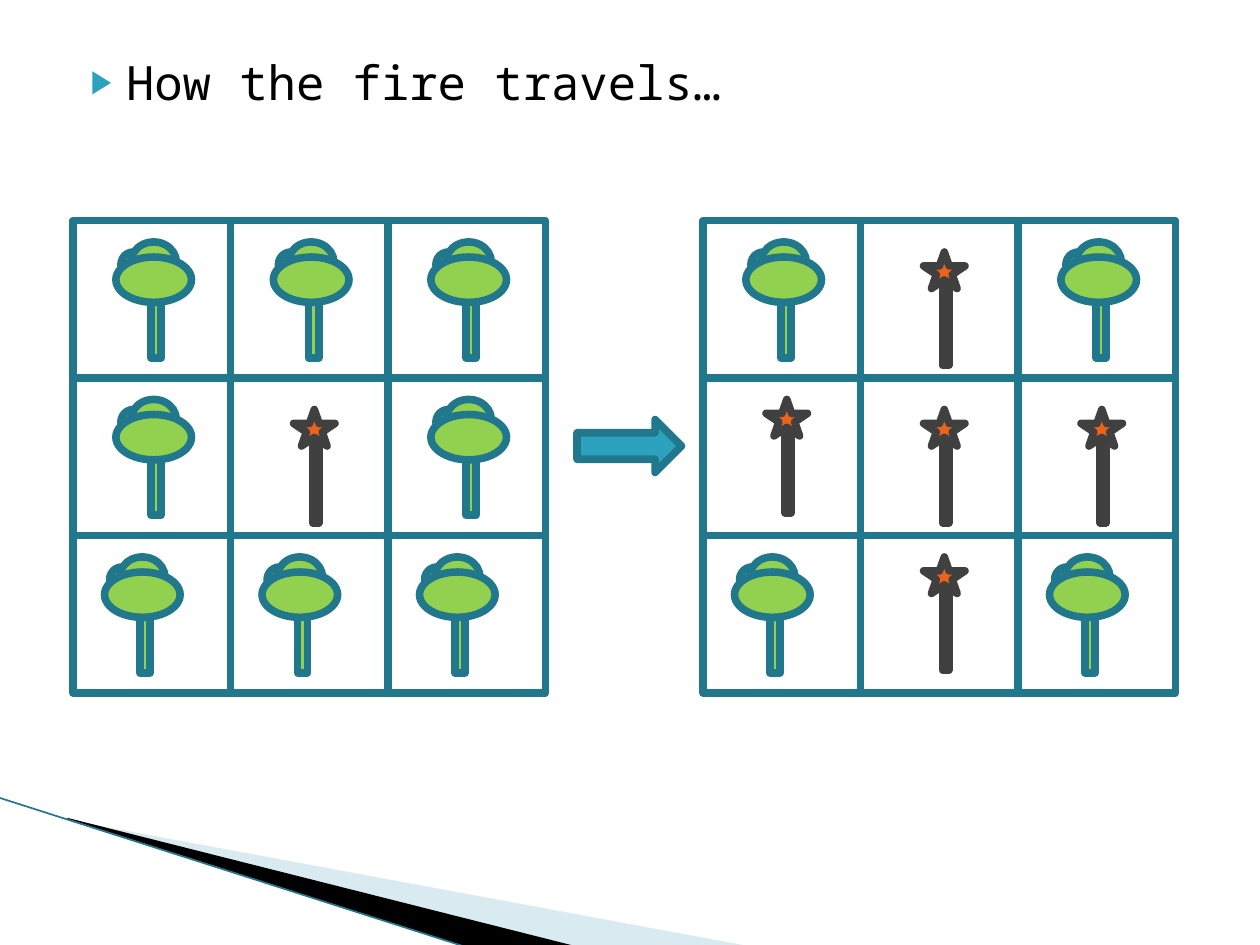
"""Build the slide that shows how a fire travels across a grid of trees."""
from lxml.etree import SubElement
from pptx import Presentation
from pptx.dml.color import RGBColor
from pptx.enum.shapes import MSO_CONNECTOR, MSO_SHAPE
from pptx.enum.text import MSO_ANCHOR, MSO_AUTO_SIZE, PP_ALIGN
from pptx.oxml.ns import qn
from pptx.util import Inches, Pt

TEAL = RGBColor(0x21, 0x78, 0x8D)
BLUE = RGBColor(0x2D, 0xA2, 0xBF)
PALE = RGBColor(0xA0, 0xCB, 0xDC)
GREEN = RGBColor(0x92, 0xD0, 0x50)
ORANGE = RGBColor(0xEB, 0x64, 0x1B)
CHARCOAL = RGBColor(0x40, 0x40, 0x40)
BLACK = RGBColor(0, 0, 0)

CELL = 1.25
GRID_TOP = 1.75
TREE = [
    (MSO_SHAPE.OVAL, 0.04, 0.08, 0.2, 0.2),
    (MSO_SHAPE.OVAL, 0.12, 0, 0.36, 0.32),
    (MSO_SHAPE.RECTANGLE, 0.28, 0.32, 0.08, 0.6),
    (MSO_SHAPE.OVAL, 0, 0.12, 0.6, 0.36),
]
FIRE = [
    (MSO_SHAPE.RECTANGLE, 0.15, 0.19, 0.05, 0.71),
    (MSO_SHAPE.STAR_5_POINT, 0, 0, 0.33, 0.29),
]
PLANTS = {
    "T": (TREE, GREEN, TEAL, 0.34, 0.17),
    "t": (TREE, GREEN, TEAL, 0.25, 0.17),
    "F": (FIRE, ORANGE, CHARCOAL, 0.5, 0.25),
    "f": (FIRE, ORANGE, CHARCOAL, 0.5, 0.17),
}
FORESTS = [(0.58, ["TTT", "TFT", "ttt"]), (5.58, ["TFT", "fFF", "tft"])]


def add_part(shapes, kind, x, y, w, h, fill, line):
    sp = shapes.add_shape(kind, Inches(x), Inches(y), Inches(w), Inches(h))
    sp.shadow.inherit = False
    if fill is None:
        sp.fill.background()
    else:
        sp.fill.solid()
        sp.fill.fore_color.rgb = fill
    sp.line.color.rgb = line
    sp.line.width = Pt(4.33)
    return sp


prs = Presentation()
prs.slide_width, prs.slide_height = Inches(10), Inches(7.5)
s = prs.slides.add_slide(prs.slide_layouts[1])
title, body = s.placeholders
title.element.getparent().remove(title.element)

WEDGES = [
    ([(0.55, 6.51), (5.95, 7.51), (4.56, 7.51), (0.55, 6.5)], PALE, 40),
    ([(0.53, 6.49), (4.57, 7.51), (3.72, 7.52), (0.54, 6.5)], BLACK, 100),
]
for points, color, opacity in WEDGES:
    outline = [(Inches(x), Inches(y)) for x, y in points]
    builder = s.shapes.build_freeform(*outline[0])
    builder.add_line_segments(outline[1:])
    wedge = builder.convert_to_shape()
    wedge.shadow.inherit = False
    wedge.fill.solid()
    wedge.fill.fore_color.rgb = color
    wedge.line.fill.background()
    if opacity < 100:
        clr = wedge.element.spPr.find(f".//{qn('a:srgbClr')}")
        SubElement(clr, qn("a:alpha"), val=str(opacity * 1000))

edge = s.shapes.add_connector(
    MSO_CONNECTOR.STRAIGHT, Inches(-0.01), Inches(6.33), Inches(3.71), Inches(7.52))
edge.line.color.rgb = TEAL
edge.line.width = Pt(0.95)
SubElement(edge.element.spPr, qn("a:effectLst"))

frame = {"left": 0.5, "top": 0.42, "width": 9, "height": 6.15}
for name, value in frame.items():
    setattr(body, name, Inches(value))
tf = body.text_frame
layout = {"word_wrap": True, "auto_size": MSO_AUTO_SIZE.NONE,
          "vertical_anchor": MSO_ANCHOR.TOP, "margin_top": 0}
for name, value in layout.items():
    setattr(tf, name, value)
p = tf.paragraphs[0]
p.alignment = PP_ALIGN.LEFT
p.space_before = Pt(4)
r = p.add_run()
r.text = "How the fire travels…"
for name, value in {"name": "Noto Sans Mono", "size": Pt(27), "bold": False}.items():
    setattr(r.font, name, value)
r.font.color.rgb = BLACK
pPr = p._p.get_or_add_pPr()
pPr.set("marL", str(Inches(0.4)))
pPr.set("indent", str(Inches(-0.28)))
SubElement(SubElement(pPr, qn("a:buClr")), qn("a:srgbClr"), val=str(BLUE))
SubElement(pPr, qn("a:buSzPct"), val="68000")
SubElement(pPr, qn("a:buChar"), char="▶")

for grid_left, rows in FORESTS:
    for row, plants in enumerate(rows):
        for col, plant in enumerate(plants):
            x, y = grid_left + col * CELL, GRID_TOP + row * CELL
            add_part(s.shapes, MSO_SHAPE.RECTANGLE, x, y, CELL, CELL, None, TEAL)
            parts, fill, line, dx, dy = PLANTS[plant]
            group = s.shapes.add_group_shape()
            for kind, px, py, w, h in parts:
                add_part(group.shapes, kind, x + dx + px, y + dy + py, w, h, fill, line)

add_part(s.shapes, MSO_SHAPE.RIGHT_ARROW, 4.58, 3.33, 0.83, 0.42, BLUE, TEAL)

prs.save("out.pptx")
